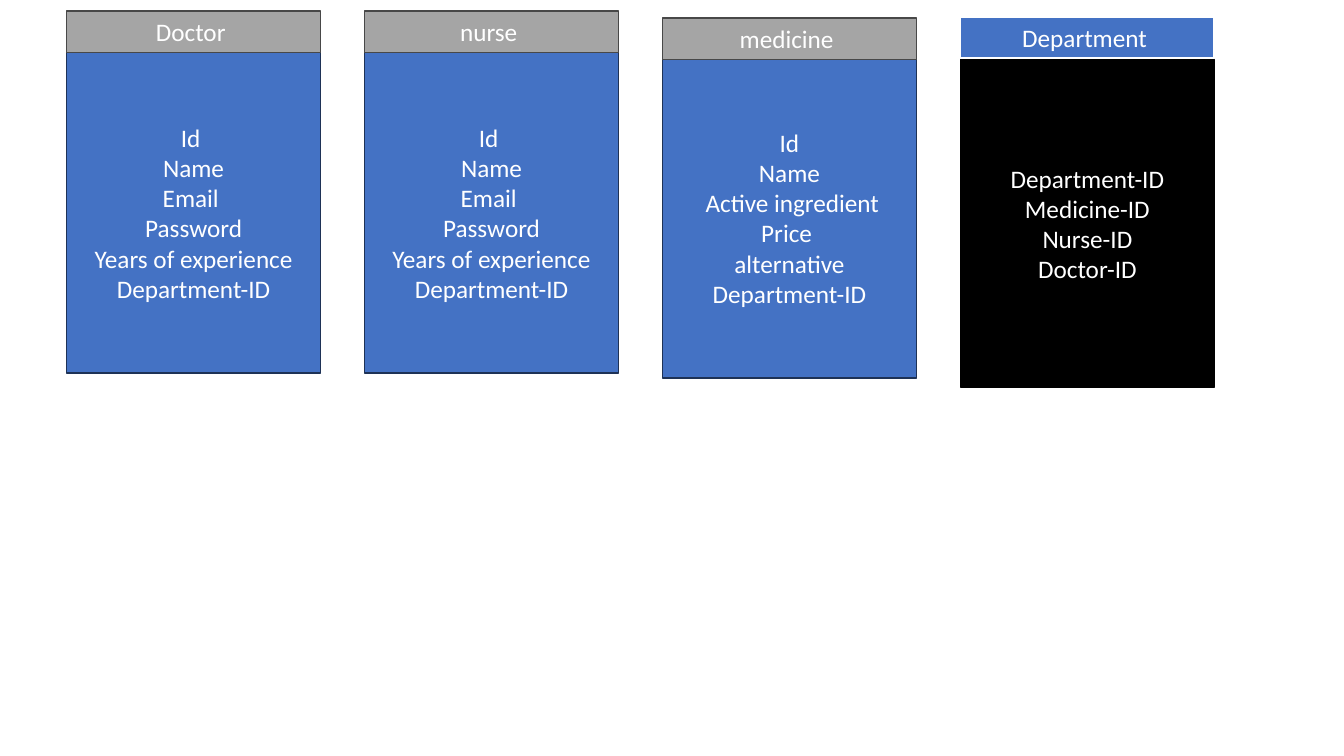
from pptx import Presentation
from pptx.dml.color import RGBColor
from pptx.enum import shapes, text
from pptx.util import Inches, Pt

WIDE = 2.52
HEAD = 0.41
BLUE, GREY, BLACK, WHITE = "4472C4", "A5A5A5", "000000", "FFFFFF"
NAVY, DARK = "1E3256", "484848"


def color(code):
    return RGBColor.from_string(code)


def box(left, top, high, fill, edge, width, lines):
    rect = slide.shapes.add_shape(
        shapes.MSO_SHAPE.RECTANGLE,
        Inches(left), Inches(top), Inches(WIDE), Inches(high))
    rect.shadow.inherit = False
    rect.fill.solid()
    rect.fill.fore_color.rgb = color(fill)
    rect.line.color.rgb = color(edge)
    rect.line.width = Pt(width)
    frame = rect.text_frame
    frame.word_wrap = True
    frame.vertical_anchor = text.MSO_ANCHOR.MIDDLE
    for i, line in enumerate(lines):
        para = frame.paragraphs[0] if i == 0 else frame.add_paragraph()
        para.alignment = text.PP_ALIGN.CENTER
        run = para.add_run()
        run.text = line
        run.font.name = "Calibri"
        run.font.size = Pt(18)
        run.font.color.rgb = color(WHITE)


deck = Presentation()
deck.slide_width, deck.slide_height = Inches(13.33), Inches(7.5)
slide = deck.slides.add_slide(deck.slide_layouts[6])

# Fields of each table
staff = ["Id ", "Name", "Email ", "Password",
         "Years of experience", "Department-ID"]
drug = ["Id", "Name", " Active ingredient", "Price ",
        "alternative", "Department-ID"]
links = ["Department-ID", "Medicine-ID", "Nurse-ID", "Doctor-ID"]

# Styles: fill, edge, line width
plain = (BLUE, NAVY, 1)
grey = (GREY, DARK, 1)
black = (BLACK, BLACK, 1)
blue = (BLUE, WHITE, 1.5)

# Title, title top, title style, body top, body height, body style, fields
tables = [
    ("Doctor ", 0.11, grey, 0.52, 3.18, plain, staff),
    ("nurse ", 0.11, grey, 0.52, 3.18, plain, staff),
    ("medicine ", 0.18, grey, 0.57, 3.18, plain, drug),
    ("Department ", 0.17, blue, 0.59, 3.25, black, links),
]

# Four tables side by side, each body under its title bar
for col, (name, top, bar, low, high, body, fields) in enumerate(tables):
    left = 0.66 + col * 2.955
    box(left, low, high, *body, fields)
    box(left, top, HEAD, *bar, [name])

deck.save("out.pptx")
